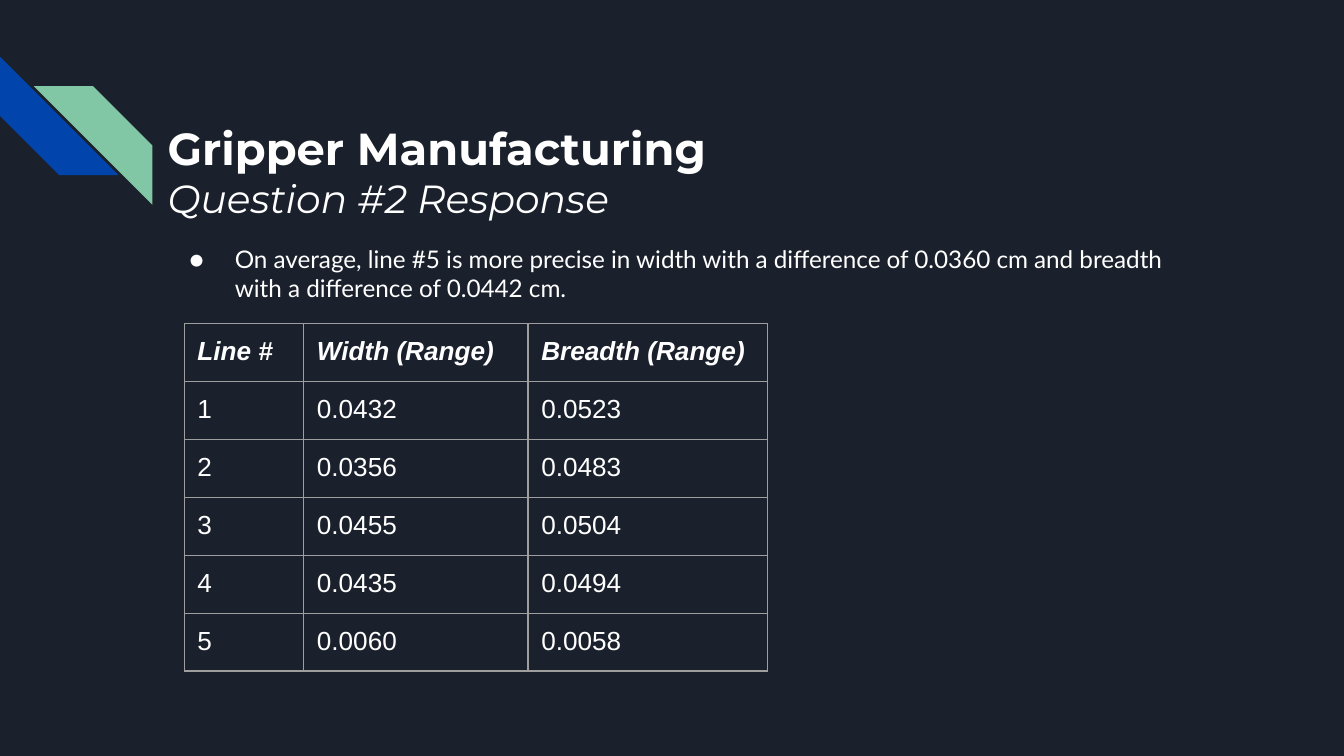
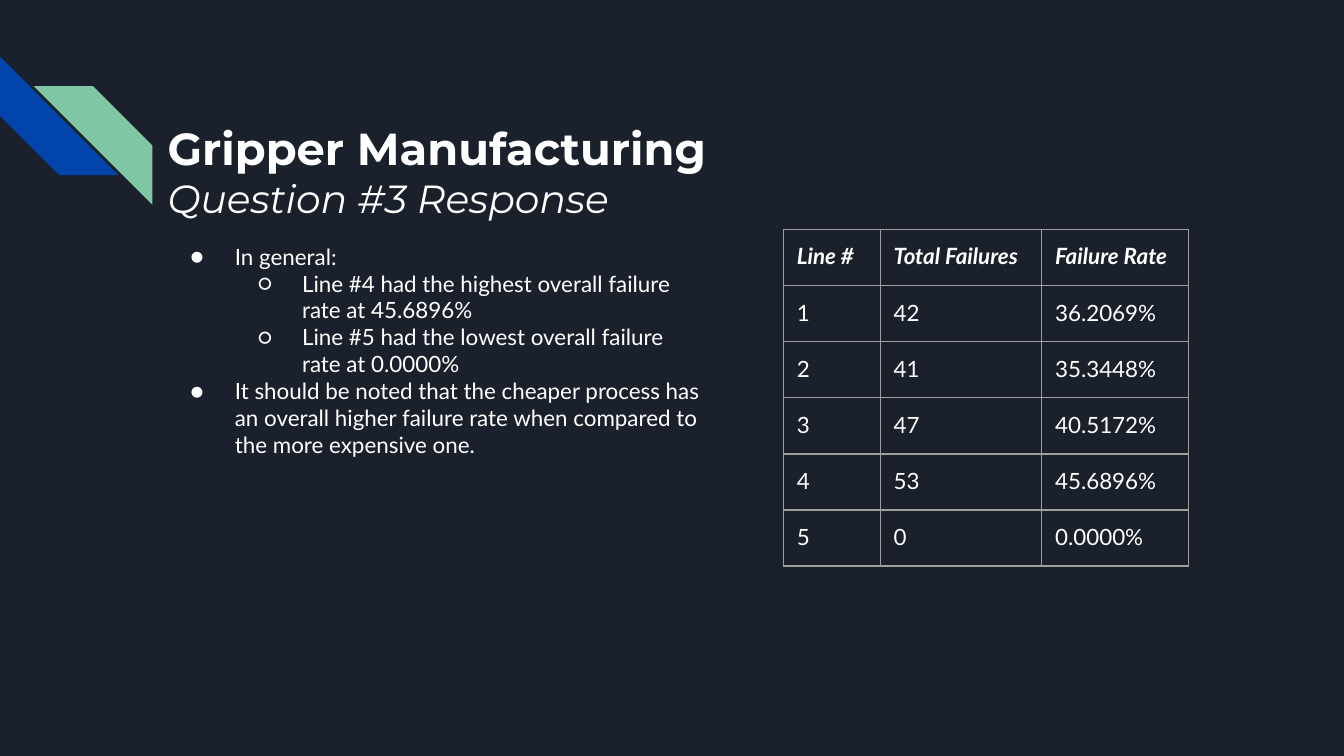
"""Build two slides on gripper manufacturing precision and failure rates."""
import dataclasses

import lxml.etree
import pptx
import pptx.dml.color
import pptx.enum.shapes
import pptx.oxml.ns
import pptx.util
from pptx.util import Cm


@dataclasses.dataclass(frozen=True)
class Theme:
    background: str = "1B212C"
    text: str = "FFFFFF"
    border: str = "9E9E9E"
    blue: str = "0145AC"
    green: str = "82C7A5"
    title_font: str = "Montserrat"
    body_font: str = "Lato"
    title_size: int = 24
    subtitle_size: int = 21
    border_width: float = 0.75
    margin: float = 0.25
    indent: float = 1.27
    row_height: float = 1.06


theme = Theme()
color = pptx.dml.color.RGBColor.from_string
qn = pptx.oxml.ns.qn


def write_text(paragraph, text, size, font=theme.body_font, bold=False, italic=False,
               bullet=None, level=0, hanging=0.84):
    run = paragraph.add_run()
    run.text = text
    run.font.size = pptx.util.Pt(size)
    run.font.name = font
    run.font.bold = bold
    run.font.italic = italic
    run.font.color.rgb = color(theme.text)
    if bullet:
        paragraph.level = level
        properties = paragraph._p.get_or_add_pPr()
        properties.set("marL", str(Cm(theme.indent * (level + 1))))
        properties.set("indent", str(-Cm(hanging)))
        bullet_color = lxml.etree.SubElement(properties, qn("a:buClr"))
        lxml.etree.SubElement(bullet_color, qn("a:srgbClr"), val=theme.text)
        lxml.etree.SubElement(properties, qn("a:buFont"), typeface=font)
        lxml.etree.SubElement(properties, qn("a:buChar"), char=bullet)


def add_text_box(slide, position, lines):
    frame = slide.shapes.add_textbox(*map(Cm, position)).text_frame
    frame.word_wrap = True
    frame.margin_left = frame.margin_right = Cm(theme.margin)
    frame.margin_top = frame.margin_bottom = Cm(theme.margin)
    for index, (text, style) in enumerate(lines):
        paragraph = frame.add_paragraph() if index else frame.paragraphs[0]
        write_text(paragraph, text, **style)


first_bullet = {"size": 13, "bullet": "●", "hanging": 0.86}
main_bullet = {"size": 12, "bullet": "●"}
sub_bullet = {"size": 12, "bullet": "○", "level": 1}

slides = [
    {
        "subtitle": "Question #2 Response",
        "body_position": (2.92, 4.37, 19.56, 1.73),
        "body": [
            ("On average, line #5 is more precise in width with a difference of "
             "0.0360 cm and breadth with a difference of 0.0442 cm.", first_bullet),
        ],
        "table_position": (3.48, 6.12),
        "columns": (2.26, 4.24, 4.52),
        "table_style": {"size": 14, "font": "Arial"},
        "rows": [
            ("Line #", "Width (Range)", "Breadth (Range)"),
            ("1", "0.0432", "0.0523"),
            ("2", "0.0356", "0.0483"),
            ("3", "0.0455", "0.0504"),
            ("4", "0.0435", "0.0494"),
            ("5", "0.0060", "0.0058"),
        ],
    },
    {
        "subtitle": "Question #3 Response",
        "body_position": (2.92, 4.34, 10.69, 7.57),
        "body": [
            ("In general:", main_bullet),
            ("Line #4 had the highest overall failure rate at 45.6896%", sub_bullet),
            ("Line #5 had the lowest overall failure rate at 0.0000%", sub_bullet),
            ("It should be noted that the cheaper process has an overall higher "
             "failure rate when compared to the more expensive one.", main_bullet),
        ],
        "table_position": (14.81, 4.34),
        "columns": (1.83, 3.05, 2.77),
        "table_style": {"size": 12},
        "rows": [
            ("Line #", "Total Failures", "Failure Rate"),
            ("1", "42", "36.2069%"),
            ("2", "41", "35.3448%"),
            ("3", "47", "40.5172%"),
            ("4", "53", "45.6896%"),
            ("5", "0", "0.0000%"),
        ],
    },
]

presentation = pptx.Presentation()
presentation.slide_width = Cm(25.4)
presentation.slide_height = Cm(14.29)

for content in slides:
    slide = presentation.slides.add_slide(presentation.slide_layouts[6])
    slide.background.fill.solid()
    slide.background.fill.fore_color.rgb = color(theme.background)

    for left, top, fill, transform in (
        (0, 1.07, theme.blue, ("rot", "16200000")),
        (0.64, 1.63, theme.green, ("flipH", "1")),
    ):
        stripe = slide.shapes.add_shape(
            pptx.enum.shapes.MSO_SHAPE.DIAGONAL_STRIPE, Cm(left), Cm(top), Cm(2.24), Cm(2.24))
        stripe.shadow.inherit = False
        stripe.fill.solid()
        stripe.fill.fore_color.rgb = color(fill)
        stripe.line.fill.background()
        stripe._element.spPr.find(qn("a:xfrm")).set(*transform)

    add_text_box(slide, (2.92, 2.03, 19.56, 1.83), [
        ("Gripper Manufacturing",
         {"size": theme.title_size, "font": theme.title_font, "bold": True}),
        (content["subtitle"],
         {"size": theme.subtitle_size, "font": theme.title_font, "italic": True}),
    ])
    add_text_box(slide, content["body_position"], content["body"])

    rows, columns = content["rows"], content["columns"]
    table = slide.shapes.add_table(
        len(rows), len(columns), *map(Cm, content["table_position"]),
        Cm(sum(columns)), Cm(theme.row_height * len(rows))).table
    table.first_row = False
    table.horz_banding = False
    for column, width in zip(table.columns, columns):
        column.width = Cm(width)
    for row_index, values in enumerate(rows):
        table.rows[row_index].height = Cm(theme.row_height)
        header = row_index == 0
        for column_index, value in enumerate(values):
            cell = table.cell(row_index, column_index)
            cell.margin_left = cell.margin_right = Cm(theme.margin)
            cell.margin_top = cell.margin_bottom = Cm(theme.margin)
            write_text(cell.text_frame.paragraphs[0], value, bold=header, italic=header,
                       **content["table_style"])
            cell_properties = cell._tc.get_or_add_tcPr()
            for side in ("a:lnL", "a:lnR", "a:lnT", "a:lnB"):
                border = lxml.etree.SubElement(
                    cell_properties, qn(side), w=str(pptx.util.Pt(theme.border_width)))
                border_fill = lxml.etree.SubElement(border, qn("a:solidFill"))
                lxml.etree.SubElement(border_fill, qn("a:srgbClr"), val=theme.border)
            cell.fill.background()

presentation.save("out.pptx")
